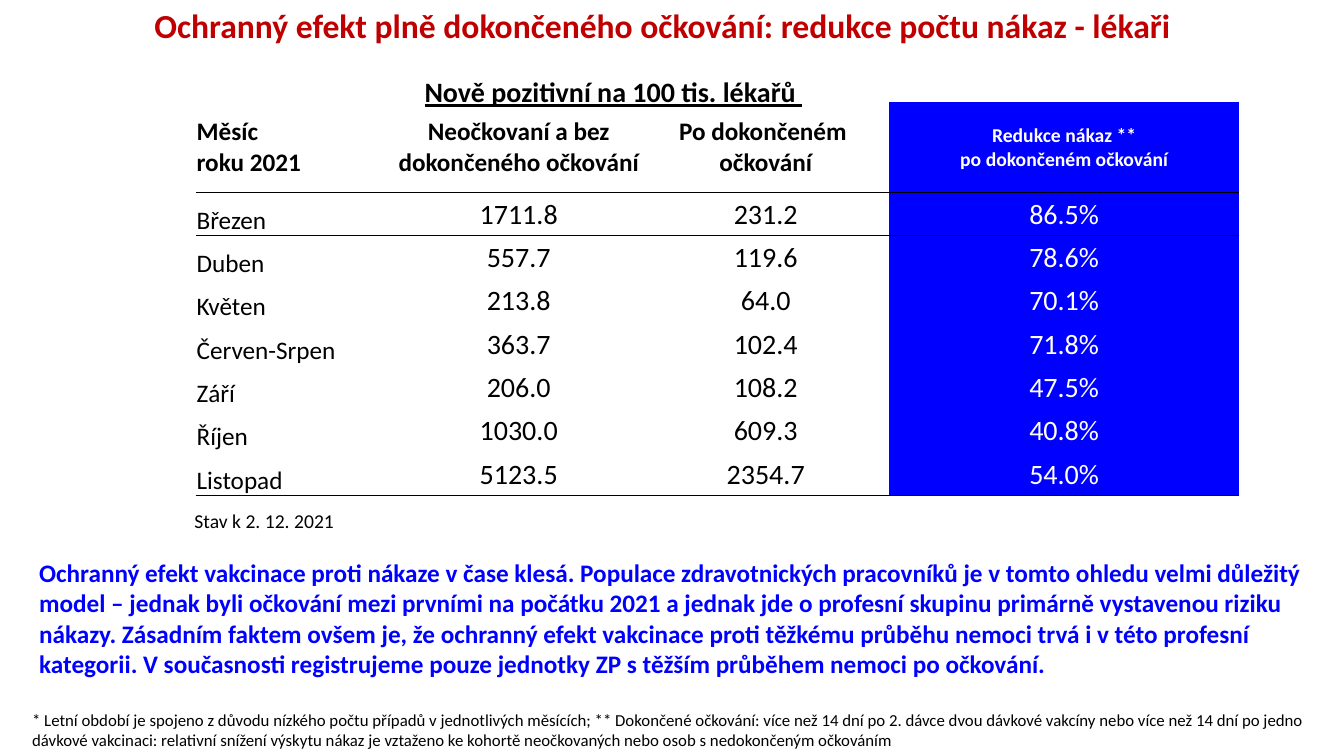
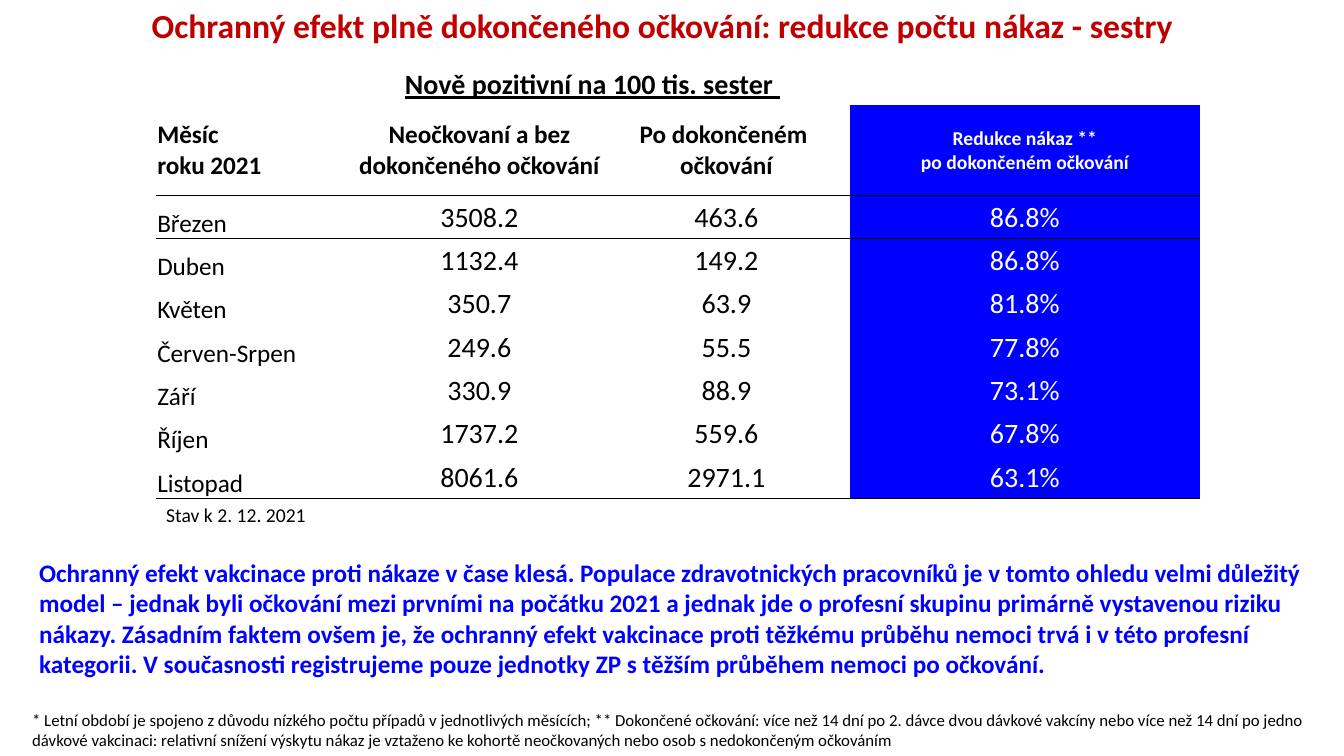
"""Two slides on infection reduction after full vaccination, for doctors and nurses."""
import pptx
import pptx.dml.color
import pptx.enum.text
import pptx.oxml
import pptx.util

PX = 9144
FONT = "Calibri"
COLORS = {"title": "C00000", "text": "000000", "accent": "0000FF", "light": "FFFFFF"}
ALIGN = pptx.enum.text.PP_ALIGN
ANCHOR = pptx.enum.text.MSO_ANCHOR
NO_STYLE = "{2D5ABB26-0587-4C30-8999-92F81FD0307C}"
LINE = (
    '<a:{edge} xmlns:a="http://schemas.openxmlformats.org/drawingml/2006/main" w="12700">'
    '<a:solidFill><a:srgbClr val="{color}"/></a:solidFill></a:{edge}>'
)

COLS = [198, 245, 245, 347]
ROWS = [43, 90] + [43] * 7
RULES = {1: "lnB", 2: "lnT", 8: "lnB"}
HEADER = [
    "Měsíc\nroku 2021",
    "Neočkovaní a bez dokončeného očkování",
    "Po dokončeném \nočkování",
    "Redukce nákaz **\npo dokončeném očkování",
]
MONTHS = ["Březen", "Duben", "Květen", "Červen-Srpen", "Září", "Říjen", "Listopad"]
TITLE = "Ochranný efekt plně dokončeného očkování: redukce počtu nákaz - "
STATUS = "Stav k 2. 12. 2021"
MESSAGE = (
    "Ochranný efekt vakcinace proti nákaze v čase klesá. Populace zdravotnických pracovníků "
    "je v tomto ohledu velmi důležitý model – jednak byli očkování mezi prvními na počátku 2021 "
    "a jednak jde o profesní skupinu primárně vystavenou riziku nákazy. Zásadním faktem ovšem je, "
    "že ochranný efekt vakcinace proti těžkému průběhu nemoci trvá i v této profesní kategorii. "
    "V současnosti registrujeme pouze jednotky ZP s těžším průběhem nemoci po očkování."
)
FOOTNOTE = (
    "* Letní období je spojeno z důvodu nízkého počtu případů v jednotlivých měsících; "
    "** Dokončené očkování: více než 14 dní po 2. dávce dvou dávkové vakcíny nebo více než 14 dní "
    "po jedno dávkové vakcinaci: relativní snížení výskytu nákaz je vztaženo ke kohortě "
    "neočkovaných nebo osob s nedokončeným očkováním"
)

SLIDES = [
    {
        "group": "lékaři",
        "caption": "Nově pozitivní na 100 tis. lékařů ",
        "caption_at": (387, 69),
        "table_at": (194, 58),
        "status_at": (183, 500),
        "values": [
            ("1711.8", "231.2", "86.5%"),
            ("557.7", "119.6", "78.6%"),
            ("213.8", "64.0", "70.1%"),
            ("363.7", "102.4", "71.8%"),
            ("206.0", "108.2", "47.5%"),
            ("1030.0", "609.3", "40.8%"),
            ("5123.5", "2354.7", "54.0%"),
        ],
    },
    {
        "group": "sestry",
        "caption": "Nově pozitivní na 100 tis. sester ",
        "caption_at": (366, 61),
        "table_at": (155, 61),
        "status_at": (155, 494),
        "values": [
            ("3508.2", "463.6", "86.8%"),
            ("1132.4", "149.2", "86.8%"),
            ("350.7", "63.9", "81.8%"),
            ("249.6", "55.5", "77.8%"),
            ("330.9", "88.9", "73.1%"),
            ("1737.2", "559.6", "67.8%"),
            ("8061.6", "2971.1", "63.1%"),
        ],
    },
]


def write(tf, text, size, color="text", bold=False, align=ALIGN.LEFT, underline=False):
    tf.text = text
    for p in tf.paragraphs:
        p.alignment = align
        for r in p.runs:
            r.font.name = FONT
            r.font.size = pptx.util.Pt(size)
            r.font.bold = bold
            r.font.underline = underline
            r.font.color.rgb = pptx.dml.color.RGBColor.from_string(COLORS[color])


def add_text(s, box, text, size, **style):
    tf = s.shapes.add_textbox(*[v * PX for v in box]).text_frame
    tf.word_wrap = True
    write(tf, text, size, **style)


prs = pptx.Presentation()
prs.slide_width, prs.slide_height = 1333 * PX, 750 * PX

for data in SLIDES:
    s = prs.slides.add_slide(prs.slide_layouts[5])
    title = s.shapes.title
    title.left, title.top, title.width, title.height = [v * PX for v in (22, 4, 1270, 145)]
    tf = title.text_frame
    tf.auto_size = pptx.enum.text.MSO_AUTO_SIZE.NONE
    tf.vertical_anchor = ANCHOR.TOP
    write(tf, TITLE + data["group"], 24, color="title", bold=True, align=ALIGN.CENTER)
    tf.paragraphs[0].line_spacing = 0.9
    tf.paragraphs[0].space_before = pptx.util.Pt(0)

    add_text(s, (*data["caption_at"], 443, 44), data["caption"], 20,
             bold=True, align=ALIGN.CENTER, underline=True)
    add_text(s, (22, 699, 1299, 50), FOOTNOTE, 12)

    box = (*data["table_at"], sum(COLS), sum(ROWS))
    table = s.shapes.add_table(len(ROWS), len(COLS), *[v * PX for v in box]).table
    table.first_row = table.horz_banding = False
    table._tbl.tblPr[0].text = NO_STYLE
    for column, width in zip(table.columns, COLS):
        column.width = width * PX
    for row, height in zip(table.rows, ROWS):
        row.height = height * PX
    table.cell(0, 2).merge(table.cell(0, 3))

    body = [(month, *values) for month, values in zip(MONTHS, data["values"])]
    for i, texts in enumerate([[""] * 4, HEADER] + body):
        for j, text in enumerate(texts):
            cell = table.cell(i, j)
            if i > 0 and j == 3:
                cell.fill.solid()
                cell.fill.fore_color.rgb = pptx.dml.color.RGBColor.from_string(COLORS["accent"])
            else:
                cell.fill.background()
            if i == 0:
                continue
            cell.margin_left = cell.margin_top = cell.margin_right = PX
            cell.margin_bottom = 0
            cell.vertical_anchor = ANCHOR.BOTTOM if i > 1 and j == 0 else ANCHOR.MIDDLE
            if i == 1:
                size = 14 if j == 3 else 18
            else:
                size = 18 if j == 0 else 20
            write(cell.text_frame, text, size, color="light" if j == 3 else "text",
                  bold=i == 1, align=ALIGN.LEFT if j == 0 else ALIGN.CENTER)
            if i in RULES:
                line = LINE.format(edge=RULES[i], color=COLORS["text"])
                cell._tc.get_or_add_tcPr().insert(0, pptx.oxml.parse_xml(line))

    add_text(s, (*data["status_at"], 221, 34), STATUS, 14)
    add_text(s, (29, 548, 1287, 131), MESSAGE, 18, color="accent", bold=True)

prs.save("out.pptx")
